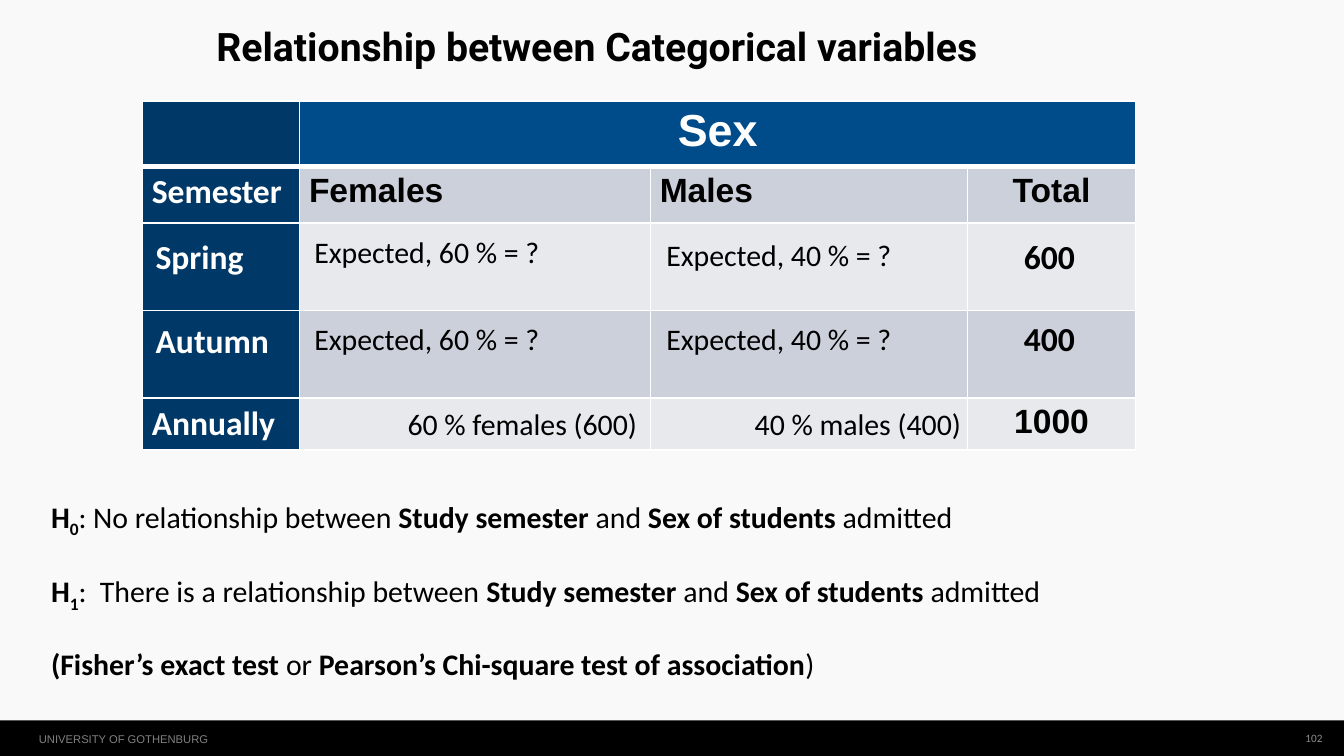
from dataclasses import dataclass
from lxml.etree import SubElement
from pptx import Presentation
from pptx.dml.color import RGBColor
from pptx.enum.shapes import MSO_SHAPE
from pptx.enum.text import MSO_ANCHOR, MSO_AUTO_SIZE, PP_ALIGN
from pptx.oxml.ns import qn
from pptx.util import Inches, Pt


@dataclass(frozen=True)
class Theme:
    page: str = "F9F9F9"
    black: str = "000000"
    white: str = "FFFFFF"
    navy: str = "003867"
    blue: str = "004B89"
    band_dark: str = "CCD0DA"
    band_light: str = "E7E9ED"
    footer_text: str = "808080"
    number_text: str = "8C8C8C"
    tiny: float = 6
    body: float = 16
    label: float = 18
    title: float = 21
    heading: float = 24


theme = Theme()


def write(paragraph, text, size, color=theme.black, font="Calibri", bold=False,
          align=PP_ALIGN.LEFT):
    paragraph.alignment = align
    run = paragraph.add_run()
    run.text = text
    for name, value in {"size": Pt(size), "name": font, "bold": bold}.items():
        setattr(run.font, name, value)
    run.font.color.rgb = RGBColor.from_string(color)
    return run


def arrange(shape, box, inset=(0.1, 0.05), anchor=MSO_ANCHOR.TOP):
    for name, value in zip(("left", "top", "width", "height"), box):
        setattr(shape, name, Inches(value))
    frame = shape.text_frame
    horizontal, vertical = map(Inches, inset)
    layout = {"word_wrap": True, "auto_size": MSO_AUTO_SIZE.NONE,
              "vertical_anchor": anchor,
              "margin_left": horizontal, "margin_right": horizontal,
              "margin_top": vertical, "margin_bottom": vertical}
    for name, value in layout.items():
        setattr(frame, name, value)
    return frame


deck = Presentation()
deck.slide_width = Inches(10)
deck.slide_height = Inches(10) * 9 // 16
slide = deck.slides.add_slide(deck.slide_layouts[1])
slide.background.fill.solid()
slide.background.fill.fore_color.rgb = RGBColor.from_string(theme.page)

footer_bar = slide.shapes.add_shape(
    MSO_SHAPE.RECTANGLE, Inches(0), Inches(5.36), Inches(10), Inches(0.28))
footer_bar.shadow.inherit = False
footer_bar.fill.solid()
footer_bar.fill.fore_color.rgb = RGBColor.from_string(theme.black)
footer_bar.line.fill.background()

title = arrange(slide.shapes.title, (1.54, 0.12, 6.54, 0.44), (0.07, 0.04),
                MSO_ANCHOR.MIDDLE)
write(title.paragraphs[0], "Relationship between Categorical variables",
      theme.title, font="Roboto", bold=True)

column_widths = [1.17, 2.61, 2.36, 1.25]
row_heights = [0.49, 0.42, 0.65, 0.65, 0.39]
crosstab = slide.shapes.add_table(
    len(row_heights), len(column_widths), Inches(1.06), Inches(0.75),
    Inches(sum(column_widths)), Inches(sum(row_heights))).table
for column, width in zip(crosstab.columns, column_widths):
    column.width = Inches(width)
for row, height in zip(crosstab.rows, row_heights):
    row.height = Inches(height)

for r in range(len(row_heights)):
    for c in range(len(column_widths)):
        cell = crosstab.cell(r, c)
        margins = {"margin_left": 0.07, "margin_right": 0.07,
                   "margin_top": 0.04, "margin_bottom": 0.04}
        for name, value in margins.items():
            setattr(cell, name, Inches(value))
        borders = {"a:lnL": 1, "a:lnR": 1, "a:lnT": 3 if r == 1 else 1,
                   "a:lnB": 3 if r == 0 else 1}
        for side, points in borders.items():
            edge = SubElement(cell._tc.get_or_add_tcPr(), qn(side), w=str(Pt(points)))
            SubElement(SubElement(edge, qn("a:solidFill")), qn("a:srgbClr"),
                       val=theme.white)
        if c == 0:
            fill = theme.navy
        elif r == 0:
            fill = theme.blue
        else:
            fill = theme.band_dark if r % 2 else theme.band_light
        cell.fill.solid()
        cell.fill.fore_color.rgb = RGBColor.from_string(fill)

crosstab.cell(0, 1).merge(crosstab.cell(0, 3))
headings = [
    (0, 1, "Sex", theme.heading, theme.white, "Arial", PP_ALIGN.CENTER),
    (1, 0, "Semester", theme.label, theme.white, "Calibri", PP_ALIGN.LEFT),
    (1, 1, "Females", theme.label, theme.black, "Arial", PP_ALIGN.LEFT),
    (1, 2, "Males", theme.label, theme.black, "Arial", PP_ALIGN.LEFT),
    (1, 3, "Total", theme.label, theme.black, "Arial", PP_ALIGN.CENTER),
    (4, 0, "Annually", theme.label, theme.white, "Calibri", PP_ALIGN.LEFT),
    (4, 3, "1000", theme.label, theme.black, "Arial", PP_ALIGN.CENTER),
]
for r, c, text, size, color, font, align in headings:
    write(crosstab.cell(r, c).text_frame.paragraphs[0], text, size, color, font,
          True, align)

expected = {"size": theme.body}
share = {"size": theme.body, "align": PP_ALIGN.RIGHT}
semester = {"size": theme.label, "color": theme.white, "bold": True}
total = {"size": theme.label, "bold": True}
entries = [
    ("Expected, 60 % = ?", (2.24, 1.69, 2.52, 0.37), expected),
    ("Expected, 40 % = ?", (4.86, 1.71, 2.13, 0.37), expected),
    ("Expected, 60 % = ?", (2.24, 2.34, 2.52, 0.37), expected),
    ("Expected, 40 % = ?", (4.86, 2.34, 2.2, 0.37), expected),
    ("60 % females (600)", (2.83, 2.97, 2.01, 0.37), share),
    ("40 % males (400)", (5.36, 2.97, 1.89, 0.37), share),
    ("Spring", (1.06, 1.71, 0.87, 0.4), semester),
    ("Autumn", (1.06, 2.33, 1.08, 0.4), semester),
    ("600", (7.52, 1.71, 0.87, 0.4), total),
    ("400", (7.52, 2.32, 0.87, 0.4), total),
]
for text, box, style in entries:
    entry = arrange(slide.shapes.add_textbox(*map(Inches, box)), box)
    write(entry.paragraphs[0], text, **style)

variables = [("Study semester ", True), ("and ", False),
             ("Sex of students ", True), ("admitted", False)]
statements = [
    ("0", [(": No relationship between ", False), *variables]),
    ("1", [(":  There is a relationship between ", False), *variables]),
    (None, [("(Fisher’s exact test ", True), ("or ", False),
            ("Pearson’s Chi-square test of association", True), (")", False)]),
]
hypotheses = arrange(slide.placeholders[1], (0.28, 3.6, 7.87, 1.44))
for i, (subscript, phrases) in enumerate(statements):
    paragraph = hypotheses.add_paragraph() if i else hypotheses.paragraphs[0]
    properties = paragraph._p.get_or_add_pPr()
    properties.set("marL", "0")
    properties.set("indent", "0")
    SubElement(properties, qn("a:buNone"))
    spacing = {"line_spacing": 1.2, "space_before": Pt(4.5 if i else 0),
               "space_after": Pt(9)}
    for name, value in spacing.items():
        setattr(paragraph, name, value)
    if subscript:
        write(paragraph, "H", theme.body, bold=True)
        index = write(paragraph, subscript, theme.body, bold=True)
        index.font._element.set("baseline", "-25000")
    for text, bold in phrases:
        write(paragraph, text, theme.body, bold=bold)

footers = [
    ("UNIVERSITY OF GOTHENBURG", (0.29, 5.45, 1.4, 0.14), MSO_ANCHOR.TOP,
     {"color": theme.footer_text, "font": "Arial"}),
    ("102", (9.6, 5.36, 0.24, 0.26), MSO_ANCHOR.MIDDLE,
     {"color": theme.number_text, "align": PP_ALIGN.RIGHT}),
]
for text, box, anchor, style in footers:
    footer = arrange(slide.shapes.add_textbox(*map(Inches, box)), box, (0, 0), anchor)
    write(footer.paragraphs[0], text, theme.tiny, **style)

deck.save("out.pptx")
